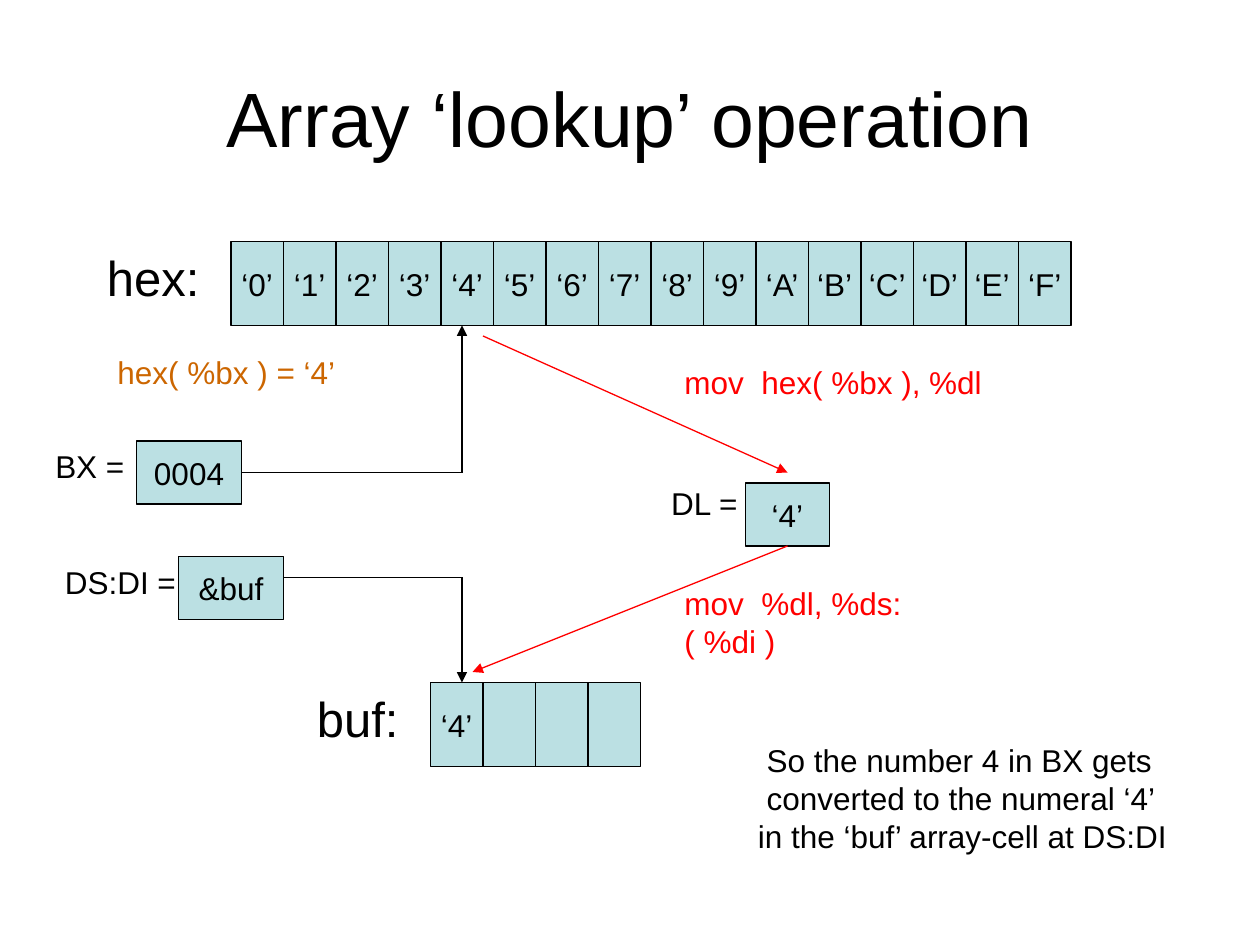
from dataclasses import dataclass

from lxml import etree
from pptx import Presentation
from pptx.dml.color import RGBColor
from pptx.enum.shapes import MSO_CONNECTOR, MSO_SHAPE
from pptx.enum.text import MSO_ANCHOR, MSO_AUTO_SIZE, PP_ALIGN
from pptx.oxml.ns import qn
from pptx.util import Pt

RECTANGLE = MSO_SHAPE.RECTANGLE
STRAIGHT = MSO_CONNECTOR.STRAIGHT
MIDDLE = MSO_ANCHOR.MIDDLE
CENTER, LEFT = PP_ALIGN.CENTER, PP_ALIGN.LEFT
NO_AUTOFIT = MSO_AUTO_SIZE.NONE
TITLE_ONLY = 5


@dataclass(frozen=True)
class Theme:
    """Colours, font and sizes of the slide."""
    font: str = "Arial"
    ink: RGBColor = RGBColor(0x00, 0x00, 0x00)
    cell: RGBColor = RGBColor(0xBB, 0xE0, 0xE3)
    code: RGBColor = RGBColor(0xFF, 0x00, 0x00)
    lookup: RGBColor = RGBColor(0xCC, 0x66, 0x00)
    title_size: float = 44
    array_size: float = 28
    text_size: float = 18
    line_width: float = 0.75


THEME = Theme()


def points(values):
    """Turn plain numbers into lengths in points."""
    return [Pt(value) for value in values]


def style_text(frame, size, color, alignment):
    """Format every paragraph of a text frame."""
    for paragraph in frame.paragraphs:
        paragraph.alignment = alignment
        for run in paragraph.runs:
            run.font.name = THEME.font
            run.font.size = Pt(size)
            run.font.color.rgb = color


def add_title(slide, box, words):
    """Fill and place the title placeholder."""
    title = slide.shapes.title
    title.left, title.top, title.width, title.height = points(box)
    frame = title.text_frame
    frame.text = words
    frame.auto_size = NO_AUTOFIT
    frame.vertical_anchor = MIDDLE
    style_text(frame, THEME.title_size, THEME.ink, CENTER)


def add_label(slide, box, words, size=THEME.text_size, color=THEME.ink):
    """Add left-aligned text that keeps its own line breaks."""
    frame = slide.shapes.add_textbox(*points(box)).text_frame
    frame.word_wrap = False
    frame.text = words
    style_text(frame, size, color, LEFT)
    return frame


def add_cell(slide, box, value):
    """Add one outlined memory cell holding a value."""
    cell = slide.shapes.add_shape(RECTANGLE, *points(box))
    cell.shadow.inherit = False
    cell.fill.solid()
    cell.fill.fore_color.rgb = THEME.cell
    cell.line.color.rgb = THEME.ink
    cell.line.width = Pt(THEME.line_width)
    frame = cell.text_frame
    frame.word_wrap = False
    frame.vertical_anchor = MIDDLE
    frame.text = value
    style_text(frame, THEME.text_size, THEME.ink, CENTER)


def add_array(slide, box, values, label, label_box):
    """Add a named row of equal cells that fills the box."""
    left, top, width, height = box
    cell_width = width / len(values)
    for index, value in enumerate(values):
        add_cell(slide, (left + index * cell_width, top, cell_width, height), value)
    add_label(slide, label_box, label, THEME.array_size)


def add_register(slide, box, value, label, label_box):
    """Add a register cell and its name."""
    add_cell(slide, box, value)
    add_label(slide, label_box, label)


def add_line(slide, start, end, color, arrow=False):
    """Add a straight line, with an arrowhead at its end if asked."""
    line = slide.shapes.add_connector(STRAIGHT, *points(start + end))
    line.line.color.rgb = color
    line.line.width = Pt(THEME.line_width)
    if arrow:
        etree.SubElement(line.line._get_or_add_ln(), qn("a:tailEnd"), type="triangle")
    etree.SubElement(line._element.spPr, qn("a:effectLst"))


def add_pointer(slide, start, end):
    """Lead across from a register, then up or down to an array cell."""
    corner = (end[0], start[1])
    add_line(slide, start, corner, THEME.ink)
    add_line(slide, corner, end, THEME.ink, arrow=True)


def add_move(slide, start, end, instruction, label_box):
    """Add a data-transfer arrow and its instruction."""
    add_line(slide, start, end, THEME.code, arrow=True)
    add_label(slide, label_box, instruction, color=THEME.code)


def add_note(slide, box, lines, indents):
    """Add the closing remark with an indent for each line."""
    frame = add_label(slide, box, "\n".join(lines))
    for paragraph, indent in zip(frame.paragraphs, indents):
        paragraph._p.get_or_add_pPr().set("marL", str(Pt(indent)))


def main():
    """Build the slide and save it."""
    deck = Presentation()
    deck.slide_width, deck.slide_height = Pt(720), Pt(540)
    slide = deck.slides.add_slide(deck.slide_layouts[TITLE_ONLY])

    add_title(slide, (36, 21.6, 648, 90), "Array ‘lookup’ operation")
    numerals = [f"‘{digit}’" for digit in "0123456789ABCDEF"]
    add_array(slide, (132, 138, 480, 48), numerals, "hex:", (54, 138, 67, 41))
    add_array(slide, (246, 390, 120, 48), ["‘4’", "", "", ""], "buf:", (174, 390, 61, 41))

    add_register(slide, (78, 252, 60, 36), "0004", "BX =", (24.5, 252, 54, 29))
    add_register(slide, (102, 318, 60, 36), "&buf", "DS:DI =", (30, 318, 78, 29))
    add_register(slide, (426, 276, 48, 36), "‘4’", "DL =", (376.5, 273, 52.5, 29))

    add_pointer(slide, (138, 270), (264, 186))
    add_pointer(slide, (162, 330), (264, 390))
    add_label(slide, (60, 198, 139, 29), "hex( %bx ) = ‘4’", color=THEME.lookup)

    add_move(slide, (276, 192), (450, 270), "mov  hex( %bx ), %dl", (384, 204, 184.5, 29))
    add_move(slide, (450, 312), (270, 384), "mov  %dl, %ds:( %di )", (384, 330, 190, 29))

    remark = [
        "So the number 4 in BX gets",
        "converted to the numeral ‘4’",
        "in the ‘buf’ array-cell at DS:DI",
    ]
    add_note(slide, (426, 420, 253.5, 72), remark, (5, 5, 0))

    deck.save("out.pptx")


if __name__ == "__main__":
    main()
